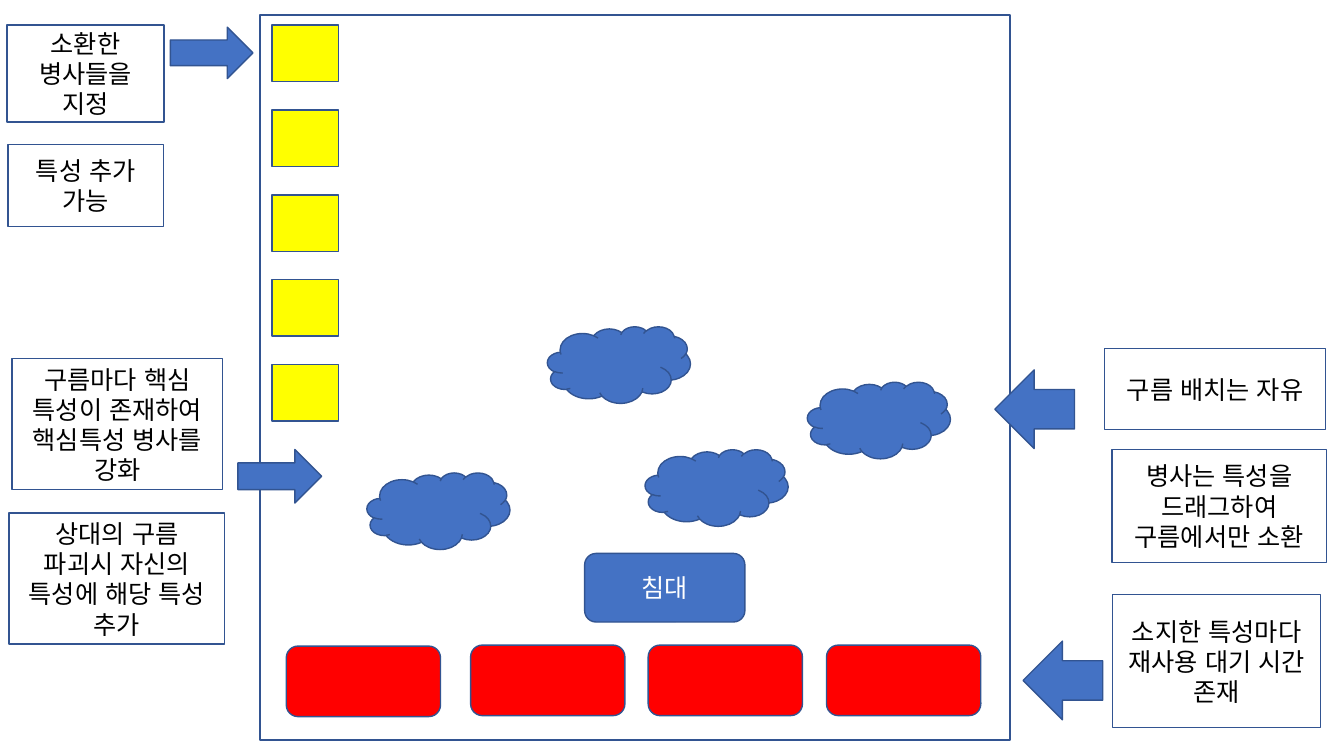
from dataclasses import dataclass

from lxml import etree
from pptx import Presentation
from pptx.dml.color import RGBColor
from pptx.enum.lang import MSO_LANGUAGE_ID
from pptx.enum.shapes import MSO_SHAPE
from pptx.enum.text import MSO_ANCHOR, PP_ALIGN
from pptx.oxml.ns import qn
from pptx.util import Pt

RECTANGLE = MSO_SHAPE.RECTANGLE
ROUNDED = MSO_SHAPE.ROUNDED_RECTANGLE
CLOUD = MSO_SHAPE.CLOUD
RIGHT_ARROW = MSO_SHAPE.RIGHT_ARROW
LEFT_ARROW = MSO_SHAPE.LEFT_ARROW
CENTER = PP_ALIGN.CENTER
MIDDLE = MSO_ANCHOR.MIDDLE
KOREAN = MSO_LANGUAGE_ID.KOREAN


@dataclass(frozen=True)
class Theme:
    white: str = "FFFFFF"
    black: str = "000000"
    blue: str = "4472C4"
    outline: str = "325491"
    trait: str = "FF0000"
    soldier: str = "FFFF00"
    font: str = "Noto Sans CJK KR"
    text_size: float = 18
    line_width: float = 1


THEME = Theme()

# Boxes are left, top, width, height in points.
SLIDE_SIZE = (960, 540)
BOARD = (185.8, 10.8, 535.7, 517.7)
BED = ("침대", (417.6, 395.3, 114.5, 49))

TRAIT_SIZE = (110.2, 50.4)
TRAIT_POSITIONS = [(204.5, 461.5), (336.2, 460.8), (463, 460.8), (590.4, 460.8)]

SOLDIER_SIZE = (47.5, 40.3)
SOLDIER_START = (194.4, 18)
SOLDIER_PITCH = 60.6
SOLDIER_COUNT = 5

CLOUD_SIZE = (102.2, 54.7)
CLOUD_POSITIONS = [(391, 233.3), (262.1, 337.7), (576.7, 272.9), (460.8, 321.1)]

ARROWS = [
    (RIGHT_ARROW, (121.7, 19.4, 59, 36.7)),
    (RIGHT_ARROW, (169.9, 321.1, 59.8, 38.2)),
    (LEFT_ARROW, (710.6, 264.2, 56.9, 56.2)),
    (LEFT_ARROW, (730.8, 457.9, 56.9, 56.2)),
]

NOTES = [
    ("소환한 병사들을 지정", (5, 18, 112.3, 69.1)),
    ("특성 추가 가능", (5.8, 103, 110.9, 59)),
    ("구름마다 핵심 특성이 존재하여 핵심특성 병사를 강화", (8.6, 256.3, 150.5, 93.6)),
    ("상대의 구름 파괴시 자신의 특성에 해당 특성 추가", (6.5, 366.5, 154.1, 93.6)),
    ("구름 배치는 자유", (789.1, 249.1, 157.7, 57.6)),
    ("병사는 특성을 드래그하여 구름에서만 소환", (794.2, 321.1, 153.4, 80.6)),
    ("소지한 특성마다 재사용 대기 시간 존재", (794.9, 424.8, 148.3, 95)),
]


def add_box(slide, kind, box, fill):
    shape = slide.shapes.add_shape(kind, *(Pt(length) for length in box))
    shape.shadow.inherit = False
    shape.fill.solid()
    shape.fill.fore_color.rgb = RGBColor.from_string(fill)
    shape.line.color.rgb = RGBColor.from_string(THEME.outline)
    shape.line.width = Pt(THEME.line_width)
    return shape


def write_text(shape, text, color):
    frame = shape.text_frame
    frame.word_wrap = True
    frame.vertical_anchor = MIDDLE
    paragraph = frame.paragraphs[0]
    paragraph.alignment = CENTER
    run = paragraph.add_run()
    run.text = text
    run.font.size = Pt(THEME.text_size)
    run.font.color.rgb = RGBColor.from_string(color)
    run.font.language_id = KOREAN
    run.font.name = THEME.font
    east_asian = etree.SubElement(run.font._element, qn("a:ea"))
    east_asian.set("typeface", THEME.font)


def build_board(slide):
    add_box(slide, RECTANGLE, BOARD, THEME.white)
    bed_text, bed_box = BED
    write_text(add_box(slide, ROUNDED, bed_box, THEME.blue), bed_text, THEME.white)
    for position in TRAIT_POSITIONS:
        add_box(slide, ROUNDED, position + TRAIT_SIZE, THEME.trait)
    left, top = SOLDIER_START
    for row in range(SOLDIER_COUNT):
        position = (left, top + row * SOLDIER_PITCH)
        add_box(slide, RECTANGLE, position + SOLDIER_SIZE, THEME.soldier)
    for position in CLOUD_POSITIONS:
        add_box(slide, CLOUD, position + CLOUD_SIZE, THEME.blue)


def build_notes(slide):
    for kind, box in ARROWS:
        add_box(slide, kind, box, THEME.blue)
    for text, box in NOTES:
        write_text(add_box(slide, RECTANGLE, box, THEME.white), text, THEME.black)


def main():
    presentation = Presentation()
    presentation.slide_width, presentation.slide_height = map(Pt, SLIDE_SIZE)
    blank_layout = presentation.slide_layouts.get_by_name("Blank")
    slide = presentation.slides.add_slide(blank_layout)
    build_board(slide)
    build_notes(slide)
    presentation.save("out.pptx")


if __name__ == "__main__":
    main()
